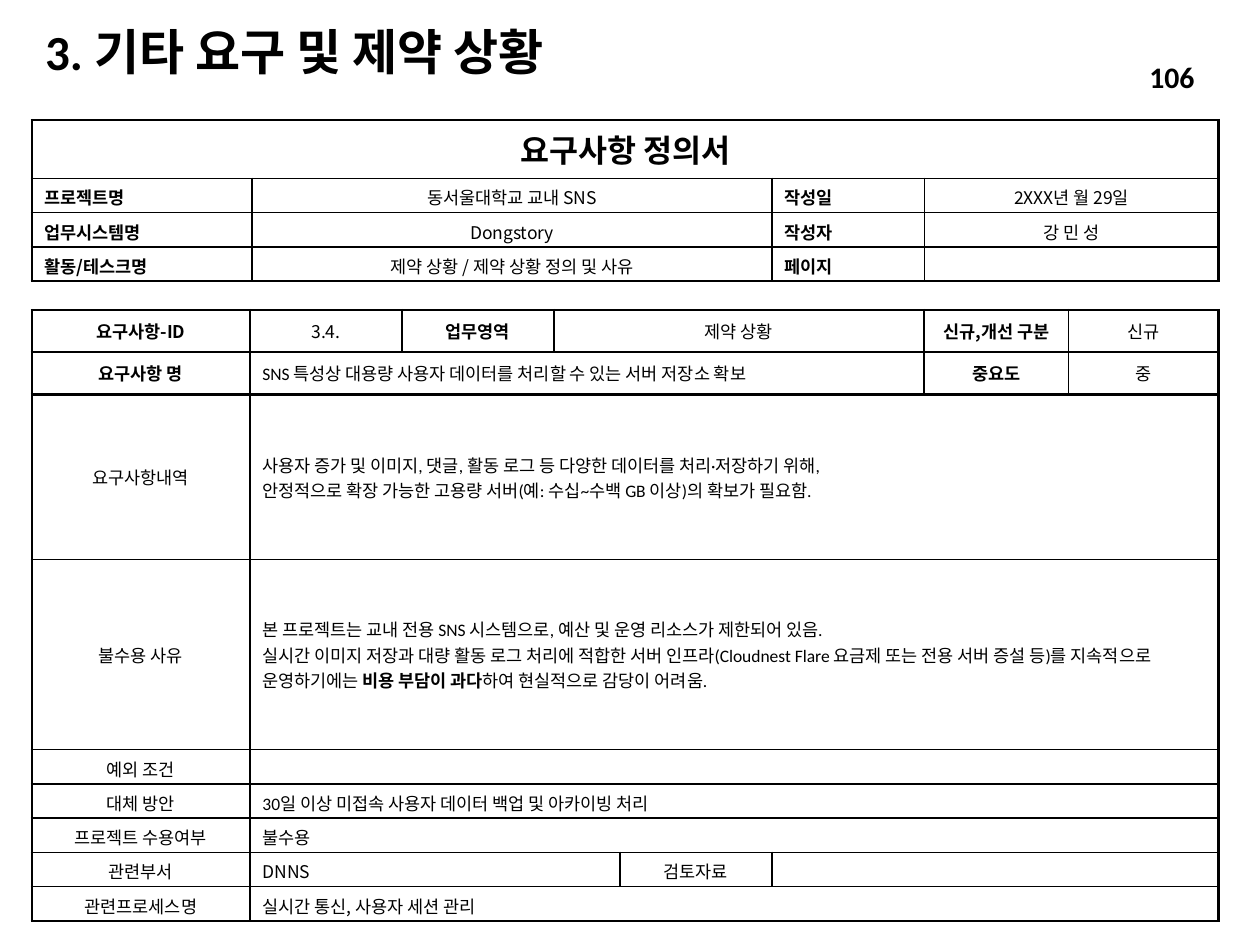
import pptx
import pptx.dml.color
import pptx.enum.text
import pptx.oxml
import pptx.oxml.ns
import pptx.util
from lxml import etree

Pt = pptx.util.Pt
ALIGN = pptx.enum.text.PP_ALIGN
ANCHOR = pptx.enum.text.MSO_ANCHOR
KOREAN, LATIN = "Noto Sans CJK KR", "Calibri"
INK = "000000"
THIN, THICK = 1, 1.5


def write(paragraph, text, size, font, bold, alignment):
    """Write text into a paragraph; parts between ** marks are bold."""
    for number, line in enumerate(text.split("\n")):
        if number:
            paragraph.add_line_break()
        for index, part in enumerate(line.split("**")):
            if part:
                run = paragraph.add_run()
                run.text = part
                if index % 2:
                    run.font.bold = True
    paragraph.alignment = alignment
    paragraph.font.size = Pt(size)
    paragraph.font.bold = bold
    paragraph.font.color.rgb = pptx.dml.color.RGBColor.from_string(INK)
    paragraph.font.name = font
    east_asian = etree.SubElement(paragraph._p.pPr.defRPr, pptx.oxml.ns.qn("a:ea"))
    east_asian.set("typeface", KOREAN)
    if not text:
        paragraph._p.get_or_add_endParaRPr().set("sz", str(size * 100))


def add_border(cell, side, width):
    cell._tc.get_or_add_tcPr().append(pptx.oxml.parse_xml(
        f'<a:ln{side} {pptx.oxml.ns.nsdecls("a")} w="{Pt(width)}">'
        f'<a:solidFill><a:srgbClr val="{INK}"/></a:solidFill></a:ln{side}>'))


presentation = pptx.Presentation()
presentation.slide_width, presentation.slide_height = Pt(720), Pt(540)
slide = presentation.slides.add_slide(presentation.slide_layouts[6])

# Heading and page number: left, top, width, height, text, size, alignment, line spacing
headings = [
    (18.7, 15.1, 386, 31.7, "3. 기타 요구 및 제약 상황", 28, ALIGN.LEFT, 0.9),
    (573.1, 29.5, 116.6, 28.8, "106", 17, ALIGN.RIGHT, 1),
]
for left, top, width, height, text, size, alignment, spacing in headings:
    text_box = slide.shapes.add_textbox(Pt(left), Pt(top), Pt(width), Pt(height))
    frame = text_box.text_frame
    frame.word_wrap = True
    frame.vertical_anchor = ANCHOR.MIDDLE
    frame.paragraphs[0].line_spacing = spacing
    write(frame.paragraphs[0], text, size, LATIN, True, alignment)

# Cell styles: size, font, bold, alignment
styles = {
    "banner": (18, KOREAN, True, ALIGN.CENTER),
    "name": (10, KOREAN, True, ALIGN.JUSTIFY),
    "label": (10, KOREAN, True, ALIGN.CENTER),
    "value": (10, KOREAN, False, ALIGN.CENTER),
    "left": (10, KOREAN, False, ALIGN.LEFT),
    "body": (10, LATIN, False, ALIGN.LEFT),
}

# Each row lists its cells as column span, style, text
project_rows = [
    [(4, "banner", "요구사항 정의서")],
    [(1, "name", "프로젝트명"), (1, "value", "동서울대학교 교내 SNS"),
     (1, "name", "작성일"), (1, "value", "2XXX년 월 29일")],
    [(1, "name", "업무시스템명"), (1, "value", "Dongstory"),
     (1, "name", "작성자"), (1, "value", "강 민 성")],
    [(1, "name", "활동/테스크명"), (1, "value", "제약 상황 / 제약 상황 정의 및 사유"),
     (1, "name", "페이지"), (1, "value", "")],
]
requirement_rows = [
    [(1, "label", "요구사항-ID"), (1, "value", "3.4."), (1, "label", "업무영역"),
     (3, "value", "제약 상황"), (1, "label", "신규,개선 구분"), (1, "value", "신규")],
    [(1, "label", "요구사항 명"),
     (5, "body", "SNS 특성상 대용량 사용자 데이터를 처리할 수 있는 서버 저장소 확보"),
     (1, "label", "중요도"), (1, "value", "중")],
    [(1, "value", "요구사항내역"),
     (7, "body", "사용자 증가 및 이미지, 댓글, 활동 로그 등 다양한 데이터를 처리·저장하기 위해,\n"
                 "안정적으로 확장 가능한 고용량 서버(예: 수십~수백 GB 이상)의 확보가 필요함.")],
    [(1, "value", "불수용 사유"),
     (7, "body", "본 프로젝트는 교내 전용 SNS 시스템으로, 예산 및 운영 리소스가 제한되어 있음.\n"
                 "실시간 이미지 저장과 대량 활동 로그 처리에 적합한 서버 인프라"
                 "(Cloudnest Flare 요금제 또는 전용 서버 증설 등)를 지속적으로 운영하기에는 "
                 "**비용 부담이 과다**하여 현실적으로 감당이 어려움.")],
    [(1, "value", "예외 조건"), (7, "left", "")],
    [(1, "value", "대체 방안"), (7, "body", "30일 이상 미접속 사용자 데이터 백업 및 아카이빙 처리")],
    [(1, "value", "프로젝트 수용여부"), (7, "left", "불수용")],
    [(1, "value", "관련부서"), (3, "left", "DNNS"), (1, "value", "검토자료"), (3, "left", "")],
    [(1, "value", "관련프로세스명"), (7, "left", "실시간 통신, 사용자 세션 관리")],
]

# Tables: top, column widths, row heights, rows, top-anchored rows, thick inner lines
tables = [
    (177.1, [124.6, 86.9, 86.9, 37.7, 86.9, 86.9, 82.7, 85.6],
     [24.2, 24.2, 94.3, 108.6] + [19.6] * 5, requirement_rows, [], [1, 2]),
    (68.5, [125.8, 297.3, 86.9, 168.2],
     [33.4] + [19.6] * 3, project_rows, [1, 2, 3], []),
]
for top, widths, heights, rows, top_anchored, thick_lines in tables:
    table = slide.shapes.add_table(len(heights), len(widths), Pt(18.2), Pt(top),
                                   Pt(sum(widths)), Pt(sum(heights))).table
    table.first_row = table.horz_banding = False
    for column, width in zip(table.columns, widths):
        column.width = Pt(width)
    for table_row, height in zip(table.rows, heights):
        table_row.height = Pt(height)

    thick_rows = [0, len(heights)] + thick_lines
    thick_columns = [0, len(widths)]
    for row, entries in enumerate(rows):
        start = 0
        for span, style, text in entries:
            end = start + span
            cell = table.cell(row, start)
            if span > 1:
                cell.merge(table.cell(row, end - 1))
            for side, line, thick in [("L", start, thick_columns), ("R", end, thick_columns),
                                      ("T", row, thick_rows), ("B", row + 1, thick_rows)]:
                add_border(cell, side, THICK if line in thick else THIN)
            for column in range(start, end):
                table.cell(row, column).fill.background()
            cell.vertical_anchor = ANCHOR.TOP if row in top_anchored else ANCHOR.MIDDLE
            write(cell.text_frame.paragraphs[0], text, *styles[style])
            start = end

presentation.save("out.pptx")
